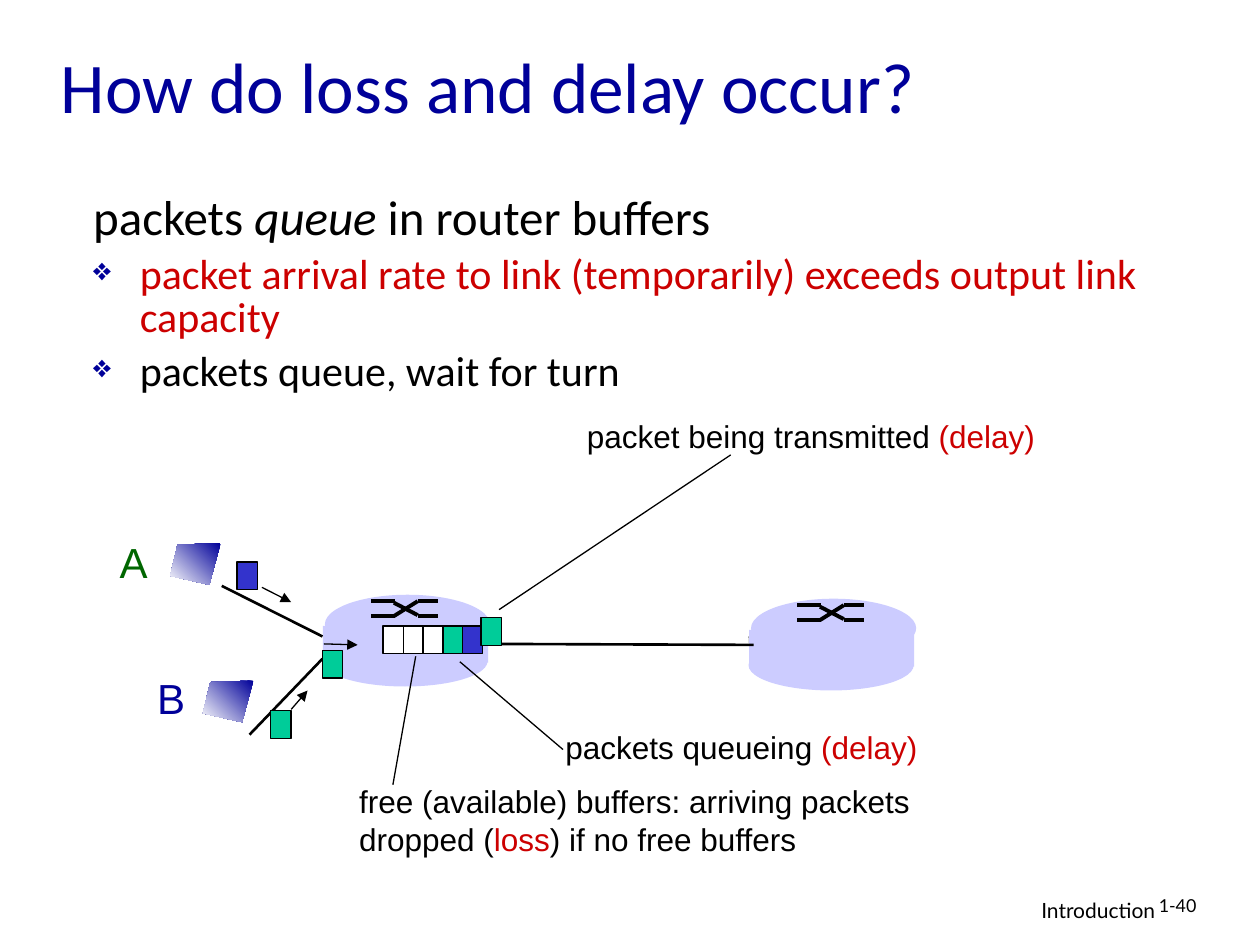
"""Build the slide on how queueing in router buffers causes loss and delay."""
from dataclasses import dataclass
from lxml.etree import SubElement
from pptx import Presentation
from pptx.dml.color import RGBColor
from pptx.enum.shapes import MSO_CONNECTOR, MSO_SHAPE
from pptx.enum.text import MSO_ANCHOR, MSO_AUTO_SIZE, PP_ALIGN
from pptx.oxml.ns import qn
from pptx.util import Cm, Pt

COLORS = {
    "black": "000000", "white": "FFFFFF", "navy": "000099", "red": "CC0000",
    "dark green": "006600", "green": "00CC99", "blue": "3333CC", "lilac": "CCCCFF",
}


@dataclass(frozen=True)
class Span:
    text: str
    color: str = "black"
    italic: bool = False


@dataclass(frozen=True)
class Label:
    box: tuple[float, float, float, float]
    lines: tuple[tuple[Span, ...], ...]
    size: float = 18
    font: str = "Arial"
    wrap: bool = False
    align: PP_ALIGN = PP_ALIGN.LEFT
    spacing: float = 1.0


@dataclass(frozen=True)
class Link:
    start: tuple[float, float]
    end: tuple[float, float]
    width: float = 0.75
    arrow: bool = False


@dataclass(frozen=True)
class Packet:
    left: float
    top: float
    color: str


def rgb(name: str) -> RGBColor:
    return RGBColor.from_string(COLORS[name])


def write_spans(paragraph, spans: tuple[Span, ...], size: float, font: str) -> None:
    for span in spans:
        run = paragraph.add_run()
        run.text = span.text
        run.font.size = Pt(size)
        run.font.name = font
        run.font.italic = span.italic
        run.font.color.rgb = rgb(span.color)


def draw_label(shapes, label: Label) -> None:
    frame = shapes.add_textbox(*map(Cm, label.box)).text_frame
    frame.word_wrap = label.wrap
    frame.auto_size = MSO_AUTO_SIZE.NONE if label.wrap else MSO_AUTO_SIZE.SHAPE_TO_FIT_TEXT
    for index, spans in enumerate(label.lines):
        paragraph = frame.add_paragraph() if index else frame.paragraphs[0]
        paragraph.alignment = label.align
        if label.spacing != 1:
            paragraph.line_spacing = label.spacing
        write_spans(paragraph, spans, label.size, label.font)


def add_bullet(paragraph) -> None:
    properties = paragraph._p.get_or_add_pPr()
    color = SubElement(properties, qn("a:buClr"))
    SubElement(color, qn("a:srgbClr"), val=COLORS["navy"])
    SubElement(properties, qn("a:buSzPct"), val="75000")
    SubElement(properties, qn("a:buChar"), char="❖")


def draw_points(shapes) -> None:
    points = (
        (28, (Span("packets "), Span("queue", italic=True), Span(" in router buffers"))),
        (24, (Span("packet arrival rate to link (temporarily) exceeds output link capacity", "red"),)),
        (24, (Span("packets queue, wait for turn"),)),
    )
    frame = shapes.add_textbox(Cm(1.6), Cm(3.81), Cm(23.8), Cm(5.87)).text_frame
    frame.word_wrap = True
    for index, (size, spans) in enumerate(points):
        paragraph = frame.add_paragraph() if index else frame.paragraphs[0]
        properties = paragraph._p.get_or_add_pPr()
        properties.set("marL", str(Cm(0.97)))
        properties.set("indent", str(-Cm(0.94)))
        if index:
            add_bullet(paragraph)
            paragraph.space_before = Pt(6)
        paragraph.line_spacing = 0.85
        write_spans(paragraph, spans, size, "Calibri")


def draw_link(shapes, link: Link) -> None:
    connector = shapes.add_connector(
        MSO_CONNECTOR.STRAIGHT, *map(Cm, link.start + link.end))
    connector.line.color.rgb = rgb("black")
    connector.line.width = Pt(link.width)
    if link.arrow:
        SubElement(connector.line._get_or_add_ln(), qn("a:tailEnd"), type="triangle")
    SubElement(connector._element.spPr, qn("a:effectLst"))


def draw_block(shapes, kind: MSO_SHAPE, box: tuple[float, ...], color: str):
    block = shapes.add_shape(kind, *map(Cm, box))
    block.shadow.inherit = False
    block.fill.solid()
    block.fill.fore_color.rgb = rgb(color)
    block.line.fill.background()
    return block


def draw_packet(shapes, packet: Packet) -> None:
    block = draw_block(
        shapes, MSO_SHAPE.RECTANGLE, (packet.left, packet.top, 0.41, 0.56), packet.color)
    block.line.color.rgb = rgb("black")
    block.line.width = Pt(0.75)


def draw_router(shapes, left: float, top: float) -> None:
    parts = (
        (MSO_SHAPE.OVAL, 0, 0.83, 1.02),
        (MSO_SHAPE.RECTANGLE, 0.01, 0.63, 0.74),
        (MSO_SHAPE.OVAL, 0.05, 0, 1.19),
    )
    for kind, dx, dy, height in parts:
        draw_block(shapes, kind, (left + dx, top + dy, 3.33, height), "lilac")
    strokes = (
        (0, 0, 0.48, 0), (0, 0.3, 0.48, 0.3), (0.94, 0, 1.35, 0),
        (0.94, 0.3, 1.35, 0.3), (0.46, 0.03, 0.94, 0.28), (0.46, 0.3, 0.94, 0),
    )
    x, y = left + 0.98, top + 0.13
    for x1, y1, x2, y2 in strokes:
        draw_link(shapes, Link((x + x1, y + y1), (x + x2, y + y2), 2.25))


def draw_host(shapes, right: float, top: float) -> None:
    corners = ((-0.87, 0.03), (-1.02, 0.66), (-0.23, 0.84))
    outline = shapes.build_freeform(Cm(right), Cm(top))
    outline.add_line_segments([(Cm(right + dx), Cm(top + dy)) for dx, dy in corners])
    host = outline.convert_to_shape()
    host.shadow.inherit = False
    host.line.fill.background()
    host.fill.gradient()
    host.fill.gradient_angle = 225
    for stop, color in zip(host.fill.gradient_stops, ("navy", "white")):
        stop.color.rgb = rgb(color)


def draw_title(title) -> None:
    title.left, title.top, title.width, title.height = map(Cm, (0.97, 0.23, 21.59, 3.18))
    frame = title.text_frame
    frame.text = "How do loss and delay occur?"
    frame.auto_size = MSO_AUTO_SIZE.NONE
    frame.vertical_anchor = MSO_ANCHOR.MIDDLE
    heading = frame.paragraphs[0]
    heading.alignment = PP_ALIGN.LEFT
    heading.line_spacing = 0.9
    font = heading.runs[0].font
    font.size, font.name, font.color.rgb = Pt(40.7), "Calibri", rgb("navy")


LINKS = (
    Link((4.47, 11.81), (6.5, 12.83), 1.5),
    Link((5.03, 14.81), (6.5, 13.28), 1.5),
    Link((9.8, 12.98), (15.19, 13), 1.5),
    Link((6.53, 12.98), (7.21, 13), arrow=True),
    Link((5.87, 14.3), (6.2, 13.92), arrow=True),
    Link((5.28, 11.84), (5.87, 12.14), arrow=True),
    Link((14.73, 9.17), (10.06, 12.29)),
    Link((11.35, 15.11), (9.27, 13.34)),
    Link((7.92, 15.82), (8.38, 13.23)),
)
QUEUE = ("white", "white", "white", "green", "blue")
MOVING = (Packet(6.5, 13.11, "green"), Packet(9.7, 12.45, "green"),
          Packet(4.78, 11.33, "blue"), Packet(5.46, 14.33, "green"))
LABELS = (
    Label((2.16, 10.69, 1.07, 1.27), ((Span("A", "dark green"),),), 24),
    Label((2.92, 13.44, 1.07, 1.27), ((Span("B", "navy"),),), 24),
    Label((11.58, 8.28, 9.6, 1.02),
          ((Span("packet being transmitted "), Span("(delay)", "red")),)),
    Label((11.15, 14.55, 7.8, 1.02), ((Span("packets queueing "), Span("(delay)", "red")),)),
    Label((6.99, 15.65, 11.8, 1.78),
          ((Span("free (available) buffers: arriving packets"),),
           (Span("dropped ("), Span("loss", "red"), Span(") if no free buffers")))),
    Label((15.49, 17.96, 8.05, 0.79), ((Span("Introduction"),),), 12, "Lato", True, PP_ALIGN.RIGHT),
    Label((23.11, 17.96, 1.88, 0.76), ((Span("1-40"),),), 10.2, "Lato", True, spacing=0.9),
)


def main() -> None:
    deck = Presentation()
    deck.slide_width, deck.slide_height = Cm(25.4), Cm(19.05)
    shapes = deck.slides.add_slide(deck.slide_layouts[5]).shapes
    draw_title(shapes.title)
    draw_points(shapes)
    draw_link(shapes, Link((15.11, 12.83), (15.14, 13.46), 1))
    for left, top in ((6.5, 11.99), (15.09, 12.07)):
        draw_router(shapes, left, top)
    for link in LINKS:
        draw_link(shapes, link)
    for slot, color in reversed(list(enumerate(QUEUE))):
        draw_packet(shapes, Packet(7.72 + 0.4 * slot, 12.62, color))
    for packet in MOVING:
        draw_packet(shapes, packet)
    for right, top in ((4.45, 10.95), (5.11, 13.72)):
        draw_host(shapes, right, top)
    for label in LABELS:
        draw_label(shapes, label)
    deck.save("out.pptx")


if __name__ == "__main__":
    main()
